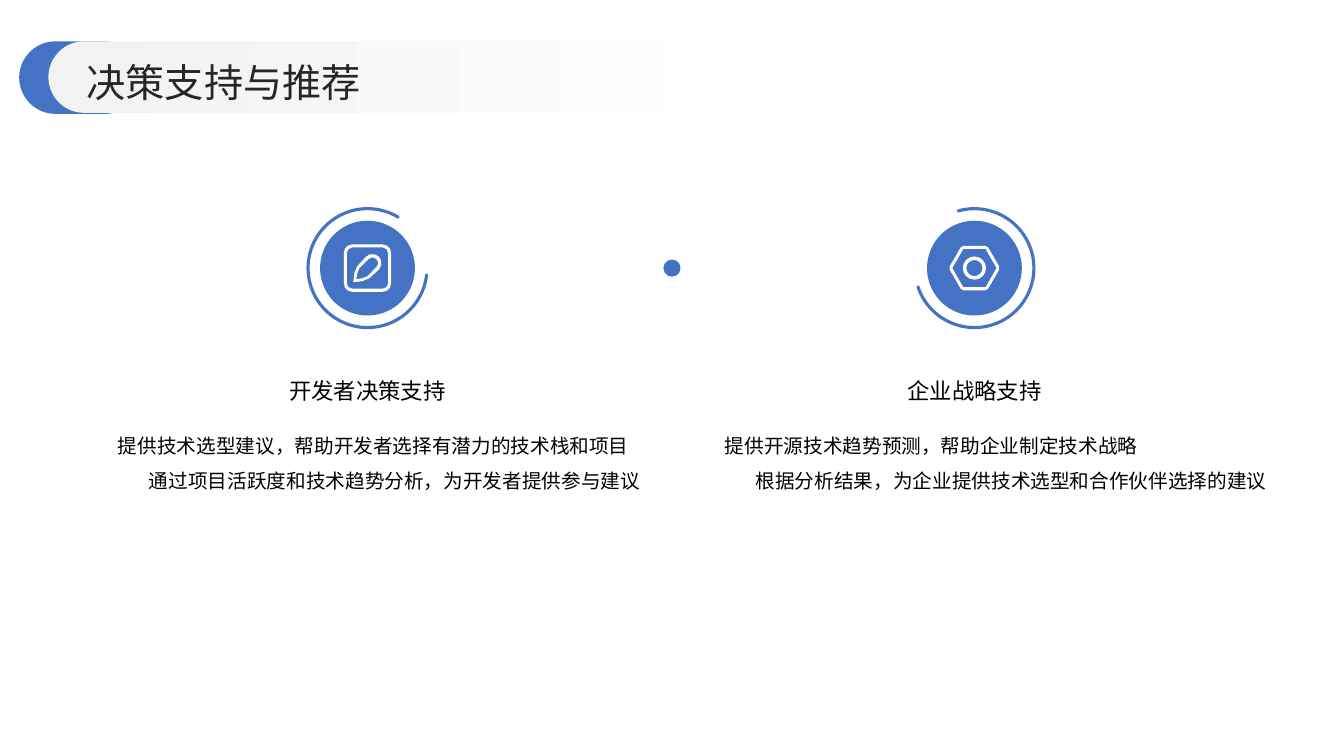
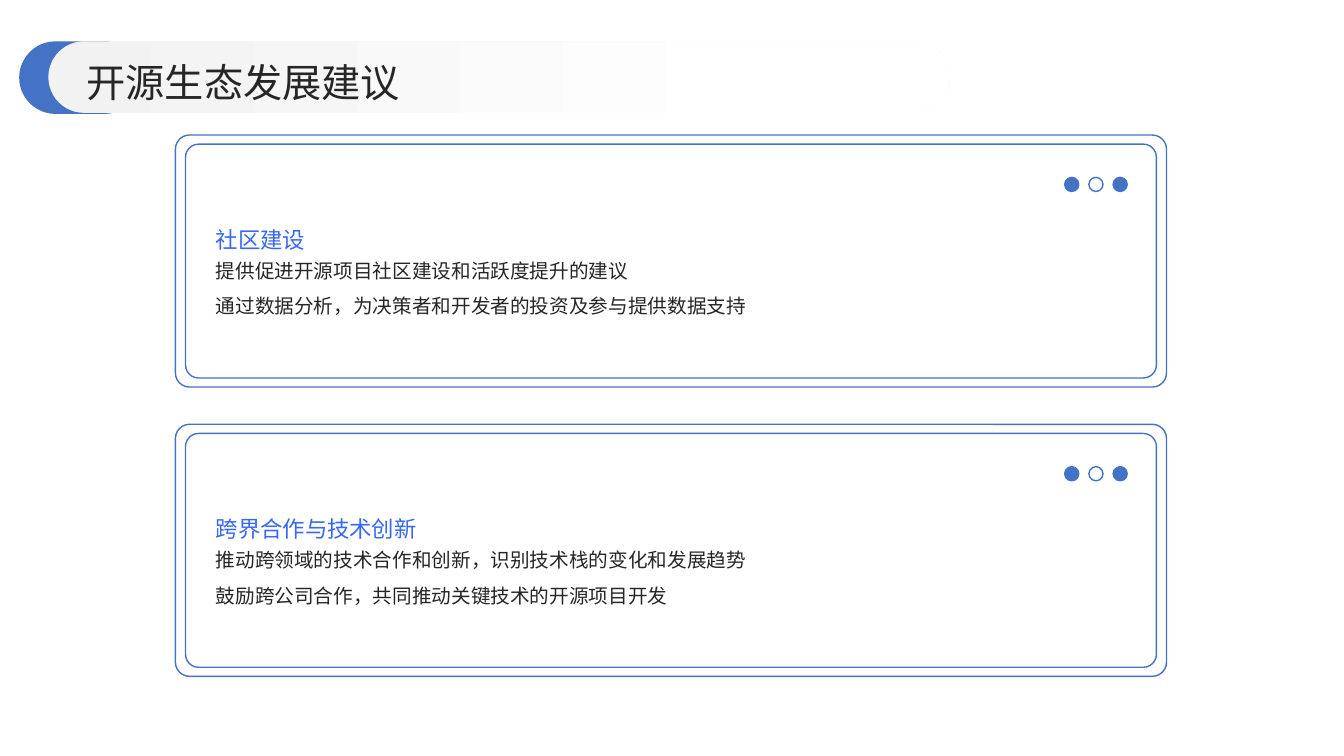
from math import atan2, cos, pi, sin

from pptx import Presentation
from pptx.dml.color import RGBColor
from pptx.enum.shapes import MSO_SHAPE
from pptx.enum.text import MSO_ANCHOR, PP_ALIGN
from pptx.oxml.ns import qn
from pptx.util import Inches, Pt

FONT = "Noto Sans CJK SC"
BLUE, HEADING_BLUE = "4472C4", "3767F4"
WHITE, PALE, BLACK, DARK = "FFFFFF", "F2F2F2", "000000", "262626"

COLUMN_LEFT, COLUMN_PITCH, COLUMN_WIDTH = 1.17, 6.02, 4.95
ICON_Y = 2.66
CARD_LEFT, CARD_TOP, CARD_PITCH = 1.74, 1.34, 2.87
CARD_WIDTH, CARD_HEIGHT = 9.83, 2.5
CARD_INSET_X, CARD_INSET_Y = 0.1, 0.09
CARD_TEXT_LEFT, CARD_TEXT_WIDTH = 2.14, 9.04
DOT_SIZE, DOT_PITCH = 0.14, 0.24


def color(hex_text):
    return RGBColor.from_string(hex_text)


def style(shape, fill=None, line=None, weight=1):
    shape.shadow.inherit = False
    if fill:
        shape.fill.solid()
        shape.fill.fore_color.rgb = color(fill)
    else:
        shape.fill.background()
    if line:
        shape.line.color.rgb = color(line)
        shape.line.width = Pt(weight)
    else:
        shape.line.fill.background()
    return shape


def add_shape(page, kind, left, top, width, height, adjustments=(), **look):
    shape = page.shapes.add_shape(kind, Inches(left), Inches(top), Inches(width), Inches(height))
    for index, value in enumerate(adjustments):
        shape.adjustments[index] = value
    return style(shape, **look)


def add_disc(page, center_x, center_y, size, **look):
    return add_shape(page, MSO_SHAPE.OVAL, center_x - size / 2, center_y - size / 2, size, size, **look)


def add_text(page, lines, left, top, width, height, size, ink,
             anchor=MSO_ANCHOR.TOP, align=PP_ALIGN.LEFT):
    """Add one paragraph per (text, line spacing) pair; only the last takes the alignment."""
    box = page.shapes.add_textbox(Inches(left), Inches(top), Inches(width), Inches(height))
    frame = box.text_frame
    frame.word_wrap = True
    frame.vertical_anchor = anchor
    frame.margin_left = frame.margin_top = frame.margin_right = frame.margin_bottom = 0
    frame.text = "\n".join(text for text, _ in lines)
    for para, (_, spacing) in zip(frame.paragraphs, lines):
        para.alignment = PP_ALIGN.LEFT
        para.line_spacing = spacing
        para.font.size = Pt(size)
        para.font.color.rgb = color(ink)
        para.font.name = FONT
        defaults = para._p.pPr.find(qn("a:defRPr"))
        defaults.append(defaults.makeelement(qn("a:ea"), {"typeface": FONT}))
    frame.paragraphs[-1].alignment = align


def add_body(page, lines, left, top, width, height, ink, align=PP_ALIGN.LEFT):
    add_text(page, list(zip(lines, (1.0, 1.5))), left, top, width, height, 14, ink, align=align)


def arc_points(x, y, radius, start, sweep, steps):
    angles = [start + sweep * step / steps for step in range(steps + 1)]
    return [(x + radius * cos(angle), y + radius * sin(angle)) for angle in angles]


def regular(radius, sides):
    return arc_points(0, 0, radius, 0, 2 * pi, sides)[:-1]


def rounded(corners, radius, steps):
    """Grow a clockwise convex outline by a radius, rounding its corners."""
    points = []
    for index, (x, y) in enumerate(corners):
        before = corners[index - 1]
        after = corners[(index + 1) % len(corners)]
        start = atan2(y - before[1], x - before[0]) - pi / 2
        end = atan2(after[1] - y, after[0] - x) - pi / 2
        points += arc_points(x, y, radius, start, (end - start) % (2 * pi), steps)
    return points


def pencil(radius, side):
    """Outline with a round top, two mirrored sides and a tip, the last point of side."""
    mirrored = [(-y, -x) for x, y in side[:-1]]
    return arc_points(0.05, -0.05, radius, -0.75 * pi, pi, 6) + mirrored + side[::-1]


def edit_icon():
    square = [(-0.15, -0.15), (0.15, -0.15), (0.15, 0.15), (-0.15, 0.15)]
    return [rounded(square, 0.085, 3), rounded(square, 0.055, 2),
            pencil(0.09, [(-0.1, -0.02), (-0.13, 0.05), (-0.14, 0.14)]),
            pencil(0.055, [(-0.08, 0), (-0.1, 0.05), (-0.11, 0.11)])]


def nut_icon():
    hexagon = regular(0.22, 6)
    return [rounded(hexagon, 0.03, 1), hexagon, regular(0.115, 16), regular(0.08, 16)]


def add_icon(page, contours, center_x, center_y):
    def place(points):
        return [(Inches(center_x + x), Inches(center_y + y)) for x, y in points]

    first, *others = [place(points) for points in contours]
    builder = page.shapes.build_freeform(*first[0])
    builder.add_line_segments(first[1:], close=True)
    for points in others:
        builder.move_to(*points[0])
        builder.add_line_segments(points[1:], close=True)
    style(builder.convert_to_shape(), fill=WHITE)


def add_title(page, title):
    add_shape(page, MSO_SHAPE.ROUNDED_RECTANGLE, 0.19, 0.41, 1.21, 0.72, [0.5], fill=BLUE)
    band = add_shape(page, MSO_SHAPE.ROUNDED_RECTANGLE, 0.48, 0.41, 8.94, 0.71, [0.5])
    band.fill.gradient()
    band.fill.gradient_angle = 0
    for stop, position, tint in zip(band.fill.gradient_stops, (0, 0.8), (PALE, WHITE)):
        stop.position = position
        stop.color.rgb = color(tint)
    add_text(page, [(title, 1.1)], 0.86, 0.53, 11.67, 0.51, 28, DARK, MSO_ANCHOR.MIDDLE)


def add_support_column(page, index, heading, lines, icon, arc, text_width):
    left = COLUMN_LEFT + index * COLUMN_PITCH
    center = left + COLUMN_WIDTH / 2
    ring = add_shape(page, MSO_SHAPE.ARC, center - 0.59, ICON_Y - 0.59, 1.18, 1.18, arc,
                     line=BLUE, weight=2.25)
    ring.line._get_or_add_ln().set("cap", "rnd")
    add_disc(page, center, ICON_Y, 0.94, fill=BLUE)
    add_icon(page, icon, center, ICON_Y)
    add_text(page, [(heading, 1.3)], left, 3.38, COLUMN_WIDTH, 0.91, 16, BLACK,
             MSO_ANCHOR.MIDDLE, PP_ALIGN.CENTER)
    add_body(page, lines, left, 4.3, text_width, 1.57, BLACK, PP_ALIGN.CENTER)


def add_card(page, index, heading, lines):
    top = CARD_TOP + index * CARD_PITCH
    for inset_x, inset_y in ((0, 0), (CARD_INSET_X, CARD_INSET_Y)):
        add_shape(page, MSO_SHAPE.ROUNDED_RECTANGLE, CARD_LEFT + inset_x, top + inset_y,
                  CARD_WIDTH - 2 * inset_x, CARD_HEIGHT - 2 * inset_y, [0.056],
                  fill=WHITE, line=BLUE)
    add_body(page, lines, CARD_TEXT_LEFT, top + 1.23, CARD_TEXT_WIDTH, 0.91, DARK)
    add_text(page, [(heading, 1.3)], CARD_TEXT_LEFT, top + 0.61, CARD_TEXT_WIDTH, 0.56, 16,
             HEADING_BLUE, MSO_ANCHOR.BOTTOM)
    for position, fill in enumerate((BLUE, WHITE, BLUE)):
        add_disc(page, 10.63 + position * DOT_PITCH, top + 0.49, DOT_SIZE, fill=fill, line=BLUE)


def add_page(deck, title):
    page = deck.slides.add_slide(deck.slide_layouts[6])
    add_title(page, title)
    return page


def main():
    deck = Presentation()
    deck.slide_width, deck.slide_height = Inches(13.33), Inches(7.5)

    page = add_page(deck, "决策支持与推荐")
    add_support_column(page, 0, "开发者决策支持",
                       ["提供技术选型建议，帮助开发者选择有潜力的技术栈和项目",
                        "通过项目活跃度和技术趋势分析，为开发者提供参与建议"],
                       edit_icon(), (3.94, 180.65), 5.49)
    add_support_column(page, 1, "企业战略支持",
                       ["提供开源技术趋势预测，帮助企业制定技术战略",
                        "根据分析结果，为企业提供技术选型和合作伙伴选择的建议"],
                       nut_icon(), (152.55, 96.95), 5.68)
    add_disc(page, 13.33 / 2, ICON_Y, 0.17, fill=BLUE)

    page = add_page(deck, "开源生态发展建议")
    add_card(page, 0, "社区建设",
             ["提供促进开源项目社区建设和活跃度提升的建议",
              "通过数据分析，为决策者和开发者的投资及参与提供数据支持"])
    add_card(page, 1, "跨界合作与技术创新",
             ["推动跨领域的技术合作和创新，识别技术栈的变化和发展趋势",
              "鼓励跨公司合作，共同推动关键技术的开源项目开发"])

    deck.save("out.pptx")


if __name__ == "__main__":
    main()
